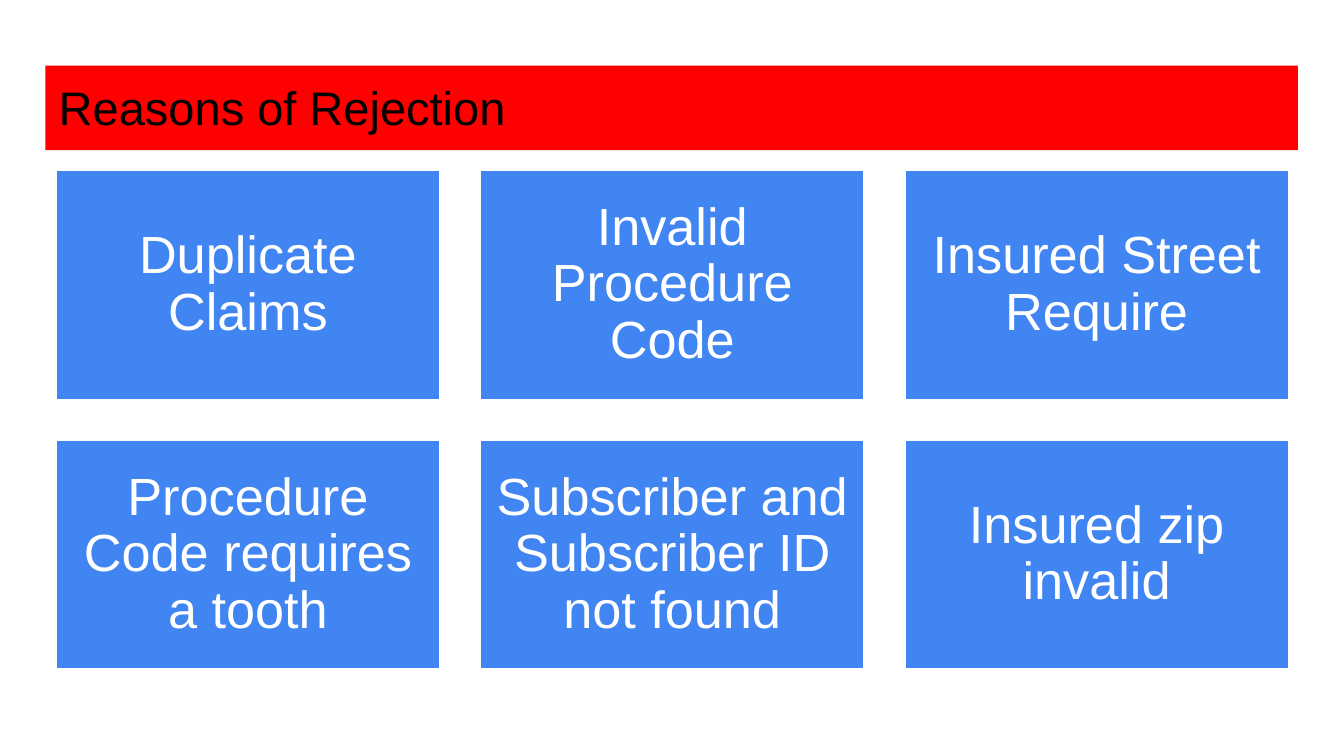
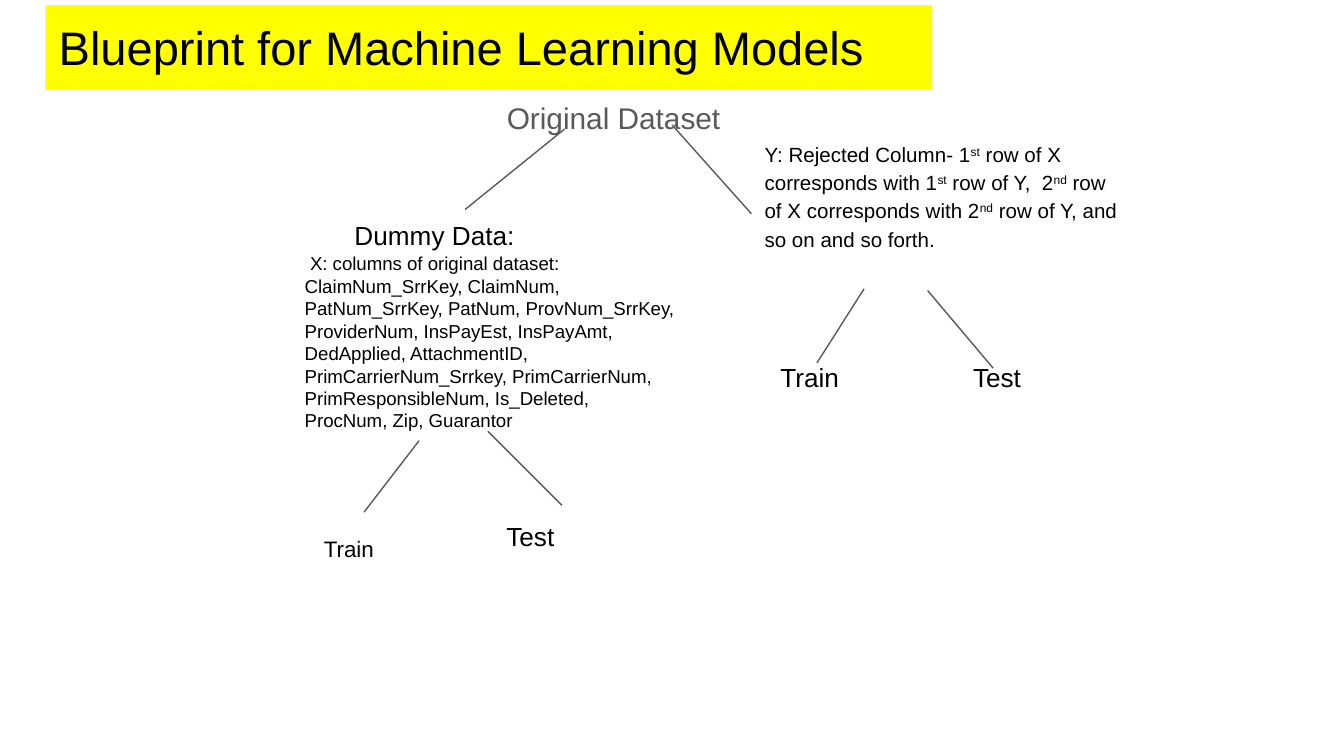
from pptx import Presentation
from pptx.dml.color import RGBColor as RGB
from pptx.enum.shapes import MSO_CONNECTOR as Conn, MSO_SHAPE as Shape
from pptx.enum.text import MSO_ANCHOR as Anchor, MSO_AUTO_SIZE as Fit, PP_ALIGN as Align
from pptx.oxml.ns import qn
from pptx.util import Cm, Pt
from lxml.etree import SubElement

COLORS = {"red": "FF0000", "yellow": "FFFF00", "blue": "4185F2",
          "white": "FFFFFF", "black": "000000", "gray": "595959"}
FONT = "Arial"
REASONS = [
    ["Duplicate Claims", "Invalid Procedure Code", "Insured Street Require"],
    ["Procedure Code requires a tooth", "Subscriber and Subscriber ID not found",
     "Insured zip invalid"],
]
FIELDS = ("X: columns of original dataset: ClaimNum_SrrKey, ClaimNum, "
          "PatNum_SrrKey, PatNum, ProvNum_SrrKey, ProviderNum, InsPayEst, "
          "InsPayAmt, DedApplied, AttachmentID, PrimCarrierNum_Srrkey, "
          "PrimCarrierNum, PrimResponsibleNum, Is_Deleted, ProcNum, Zip, Guarantor")
TARGET = ["Y: Rejected Column- 1", "st", " row of X corresponds with 1", "st",
          " row of Y,  2", "nd", " row of X corresponds with 2", "nd",
          " row of Y, and so on and so forth."]


def color(name):
    return RGB.from_string(COLORS[name])


class Deck:
    def __init__(self):
        self.prs = Presentation()
        self.prs.slide_width, self.prs.slide_height = Cm(25.4), Cm(14.29)
        self.slide = None

    def page(self, title, fill, top, width):
        """Start a slide with a title on a coloured band."""
        self.slide = self.prs.slides.add_slide(self.prs.slide_layouts[6])
        band = self.rect(0.86, top, width, 1.6, fill)
        band.line.fill.background()
        self.text(band.text_frame, [title], 25.2)

    def rect(self, left, top, width, height, fill):
        box = self.slide.shapes.add_shape(
            Shape.RECTANGLE, Cm(left), Cm(top), Cm(width), Cm(height))
        box.shadow.inherit = False
        box.fill.solid()
        box.fill.fore_color.rgb = color(fill)
        return box

    def text(self, frame, parts, size, ink="black", inset=0.25):
        """Fill a frame with one paragraph; every second part is superscript."""
        frame.word_wrap = True
        frame.vertical_anchor = Anchor.TOP
        frame.margin_left = frame.margin_right = Cm(inset)
        frame.margin_top = frame.margin_bottom = Cm(inset)
        para = frame.paragraphs[0]
        para.alignment = Align.LEFT
        for i, part in enumerate(parts):
            run = para.add_run()
            run.text = part
            if i % 2:
                run._r.get_or_add_rPr().set("baseline", "30000")
        font = para.font
        font.name, font.size, font.color.rgb = FONT, Pt(size), color(ink)
        return para

    def tile(self, text, left, top, width, height):
        box = self.rect(left, top, width, height, "blue")
        box.line.color.rgb = color("white")
        box.line.width = Pt(2)
        para = self.text(box.text_frame, [text], 28, "white", 0.3)
        para.alignment, para.line_spacing = Align.CENTER, 0.9
        box.text_frame.vertical_anchor = Anchor.MIDDLE

    def label(self, parts, left, top, width, height, size, ink="black"):
        box = self.slide.shapes.add_textbox(
            Cm(left), Cm(top), Cm(width), Cm(height))
        para = self.text(box.text_frame, parts, size, ink)
        box.text_frame.auto_size = Fit.SHAPE_TO_FIT_TEXT
        return para

    def branch(self, x1, y1, x2, y2):
        line = self.slide.shapes.add_connector(
            Conn.STRAIGHT, Cm(x1), Cm(y1), Cm(x2), Cm(y2))
        line.line.color.rgb = color("gray")
        line.line.width = Pt(0.75)
        SubElement(line._element.spPr, qn("a:effectLst"))


def reasons(deck):
    deck.page("Reasons of Rejection", "red", 1.24, 23.67)
    wide, high, gap = 7.29, 4.37, 0.73
    for i, row in enumerate(REASONS):
        for j, text in enumerate(row):
            deck.tile(text, 1.04 + j * (wide + gap), 3.2 + i * (high + gap),
                      wide, high)


def blueprint(deck):
    deck.page("Blueprint for Machine Learning Models", "yellow", 0.1, 16.76)
    deck.label(["Original Dataset"], 9.33, 1.64, 5, 1.13, 16, "gray")
    for ends in [(10.67, 2.44, 8.79, 3.96), (12.7, 2.36, 14.2, 4.04),
                 (7.92, 8.33, 6.88, 9.68), (9.22, 8.15, 10.62, 9.55),
                 (16.33, 5.46, 15.44, 6.86), (17.53, 5.49, 18.77, 6.96)]:
        deck.branch(*ends)
    deck.label(["Dummy Data:"], 6.45, 3.89, 5, 1.12, 14)
    fields = deck.label([FIELDS], 5.51, 4.52, 7.52, 4.52, 10)
    fields._p.get_or_add_pPr().set("indent", str(Cm(0.1)))
    deck.label(TARGET, 14.2, 2.36, 7.24, 3.71, 11).line_spacing = 1.15
    for text, left, top, width, size in [
            ("Train", 5.87, 9.86, 4.78, 12), ("Test", 9.32, 9.58, 4.39, 14),
            ("Train", 14.5, 6.58, 2.79, 14), ("Test", 18.14, 6.58, 2.79, 14)]:
        deck.label([text], left, top, width, 1.12, size)


def main():
    deck = Deck()
    reasons(deck)
    blueprint(deck)
    deck.prs.save("out.pptx")


if __name__ == "__main__":
    main()
